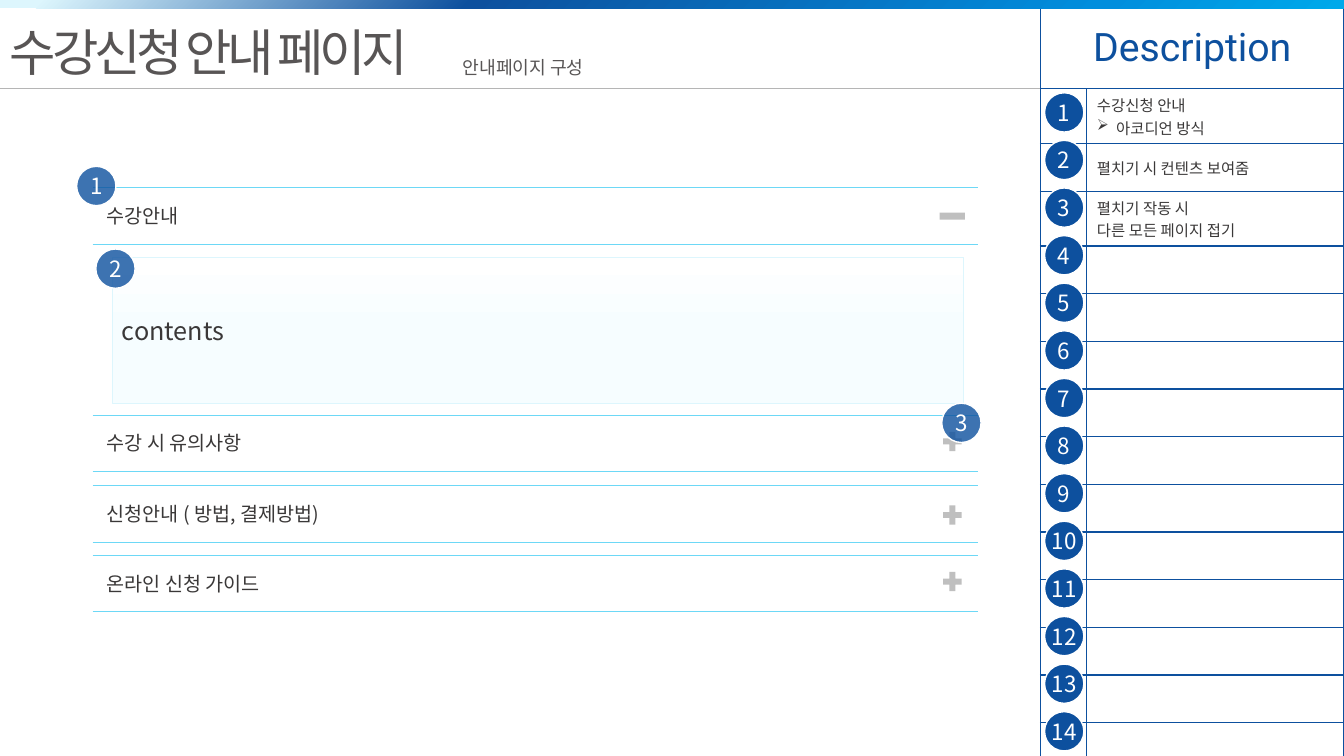
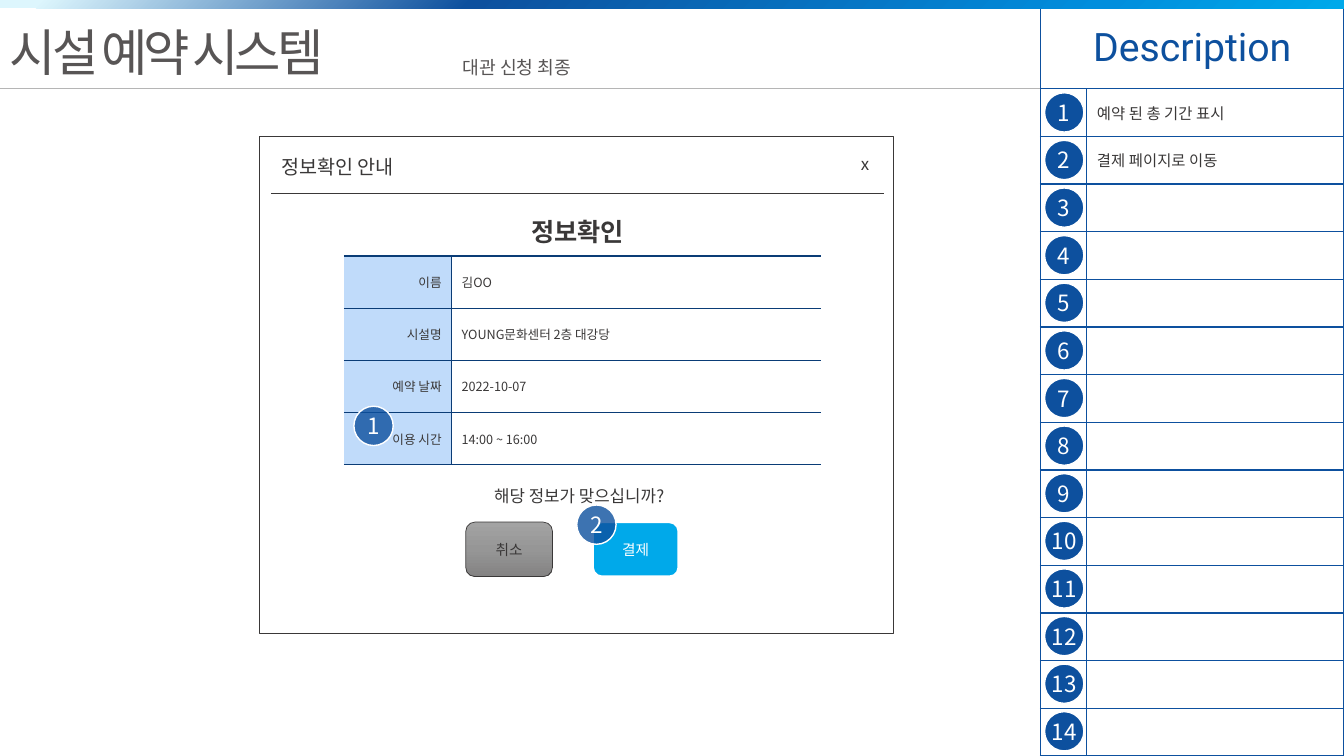
from lxml import etree
from pptx import Presentation, util as u
from pptx.dml.color import RGBColor
from pptx.enum import shapes, text
from pptx.oxml.ns import qn

COLORS = {
    "navy": "0D509E", "deep": "0A3C76", "sky": "00A9EA", "cyan": "6DD8F6",
    "ice": "DDF6FD", "label": "C0DBFA", "ink": "3A3838", "title": "585555",
    "rule": "B5B5B5", "icon": "BFBFBF", "white": "FFFFFF",
}
BAND = (45, [(3, COLORS["ice"]), (35, COLORS["navy"]), (82, "018EDD"), (100, COLORS["sky"])])
PANEL = (90, [(0, COLORS["white"]), (50, "F6FDFF"), (100, "F5FDFF")])
GREY_BUTTON = (90, [(0, "A3A3A3"), (50, "969696"), (100, "848383")])
KOREAN = "Noto Sans CJK KR"
NO_STYLE = "{2D5ABB26-0587-4C30-8999-92F81FD0307C}"
SHAPE = shapes.MSO_SHAPE
LEFT, CENTER, RIGHT = text.PP_ALIGN.LEFT, text.PP_ALIGN.CENTER, text.PP_ALIGN.RIGHT


def draw(page, kind, at, fill=None, line=None, weight=0.5):
    """Add a shape, or a line when kind is None; fill is a colour name or (angle, stops)."""
    left, top, width, height = map(u.Inches, at)
    if kind is None:
        shape = page.shapes.add_connector(
            shapes.MSO_CONNECTOR.STRAIGHT, left, top, left + width, top + height)
    else:
        shape = page.shapes.add_shape(kind, left, top, width, height)
        shape.shadow.inherit = False
        if isinstance(fill, str):
            shape.fill.solid()
            shape.fill.fore_color.rgb = RGBColor.from_string(COLORS[fill])
        else:
            angle, stops = fill
            shape.fill.gradient()
            shape.fill.gradient_angle = 360 - angle
            stop_list = shape._element.spPr.find(".//" + qn("a:gsLst"))
            for old in list(stop_list):
                stop_list.remove(old)
            for position, color in stops:
                stop = etree.SubElement(stop_list, qn("a:gs"), pos=str(position * 1000))
                etree.SubElement(stop, qn("a:srgbClr"), val=color)
    if line:
        shape.line.color.rgb = RGBColor.from_string(COLORS[line])
        shape.line.width = u.Pt(weight)
    else:
        shape.line.fill.background()
    if kind is None:
        etree.SubElement(shape._element.spPr, qn("a:effectLst"))
    return shape


def write(frame, lines, size, color="ink", align=LEFT, font=KOREAN, bold=False, spacing=0):
    """Fill a frame with one paragraph a line; a leading ➢ becomes a bullet."""
    frame.word_wrap = True
    for index, line in enumerate(lines.split("\n")):
        para = frame.add_paragraph() if index else frame.paragraphs[0]
        para.alignment = align
        if line.startswith("➢"):
            props = para._p.get_or_add_pPr()
            props.set("marL", str(u.Inches(0.19)))
            props.set("indent", str(-u.Inches(0.19)))
            etree.SubElement(props, qn("a:buChar"), char="➢")
        span = para.add_run()
        span.text = line.lstrip("➢ ")
        span.font.size = u.Pt(size)
        span.font.bold = bold
        span.font.color.rgb = RGBColor.from_string(COLORS[color])
        span.font.name = font
        props = span._r.get_or_add_rPr()
        etree.SubElement(props, qn("a:ea"), typeface=font)
        if spacing:
            props.set("spc", str(spacing * 100))


deck = Presentation()
deck.slide_width, deck.slide_height = u.Inches(13.33), u.Inches(7.5)

# Shared frame: description rail, title, subtitle and top band
frames = [
    ("수강신청 안내 페이지", "안내페이지 구성",
     ["수강신청 안내\n➢ 아코디언 방식", "펼치기 시 컨텐츠 보여줌",
      "펼치기 작동 시\n다른 모든 페이지 접기"]),
    ("시설 예약 시스템", "대관 신청 최종", ["예약 된 총 기간 표시", "결제 페이지로 이동"]),
]
STEPS = 14
pages = []
grids = []  # table, border colour, inner width, side width, label fill
for title, subtitle, notes in frames:
    page = deck.slides.add_slide(deck.slide_layouts[6])
    pages.append(page)
    rail = page.shapes.add_table(
        STEPS + 1, 2, *map(u.Inches, (10.32, 0.08, 3.01, 7.42))).table
    rail.columns[0].width, rail.columns[1].width = u.Inches(0.46), u.Inches(2.55)
    for index, row in enumerate(rail.rows):
        row.height = u.Inches((7.42 - 0.8) / STEPS if index else 0.8)
    rail.cell(0, 0).merge(rail.cell(0, 1))
    write(rail.cell(0, 0).text_frame, "Description", 28, "navy", CENTER, "Roboto")
    for index, note in enumerate(notes, 1):
        write(rail.cell(index, 1).text_frame, note, 11)
    grids.append((rail, "navy", 1, 1, None))

    draw(page, None, (0, 0.88, 10.32, 0), line="rule", weight=1)
    box = page.shapes.add_textbox(*map(u.Inches, (0, 0.16, 4.64, 0.71)))
    write(box.text_frame, title, 36, "title", spacing=-3)
    draw(page, SHAPE.RECTANGLE, (0, 0, 13.33, 0.08), BAND)
    box = page.shapes.add_textbox(*map(u.Inches, (4.49, 0.51, 1.52, 0.32)))
    write(box.text_frame, subtitle, 13, "title")

guide, booking = pages

# Accordion
sections = [
    ("수강안내", 1.86, SHAPE.RECTANGLE, 2.11, 0.07),
    ("수강 시 유의사항", 4.12, SHAPE.MATH_PLUS, 4.25, 0.26),
    ("신청안내 ( 방법, 결제방법)", 4.82, SHAPE.MATH_PLUS, 4.98, 0.26),
    ("온라인 신청 가이드", 5.51, SHAPE.MATH_PLUS, 5.64, 0.26),
]
for heading, top, icon, icon_top, icon_height in sections:
    for edge in (top, top + 0.56):
        draw(guide, None, (0.92, edge, 8.78, 0), line="cyan")
    box = guide.shapes.add_textbox(*map(u.Inches, (0.96, top + 0.11, 4.63, 0.34)))
    write(box.text_frame, heading, 14)
    draw(guide, icon, (9.32, icon_top, 0.25, icon_height), "icon")
panel = draw(guide, SHAPE.RECTANGLE, (1.11, 2.55, 8.45, 1.45), PANEL, "ice")
write(panel.text_frame, "contents", 18)

# Confirmation dialog
draw(booking, SHAPE.RECTANGLE, (2.57, 1.35, 6.29, 4.93), "white", "ink")
draw(booking, None, (2.69, 1.92, 6.08, 0), line="ink")
buttons = [
    ("결제", (5.88, 5.18, 0.85, 0.54), "sky", "white", 1.5, "white"),
    ("취소", (4.62, 5.18, 0.86, 0.54), GREY_BUTTON, "ink", 0.5, "ink"),
]
for caption, at, fill, line, weight, color in buttons:
    button = draw(booking, SHAPE.ROUNDED_RECTANGLE, at, fill, line, weight)
    write(button.text_frame, caption, 10.5, color, CENTER)
dialog_texts = [
    ("정보확인 안내", (2.69, 1.49, 1.75, 0.34), 14, LEFT, False),
    ("x", (8.44, 1.48, 0.34, 0.3), 12, LEFT, False),
    ("해당 정보가 맞으십니까?", (4.23, 4.77, 3.03, 0.3), 12, CENTER, False),
    ("정보확인", (5.17, 2.1, 1.21, 0.4), 18, LEFT, True),
]
for words, at, size, align, bold in dialog_texts:
    box = booking.shapes.add_textbox(*map(u.Inches, at))
    write(box.text_frame, words, size, align=align, bold=bold)
details = [
    ("이름", "김OO"),
    ("시설명", "YOUNG문화센터 2층 대강당"),
    ("예약 날짜", "2022-10-07"),
    ("이용 시간", "14:00 ~ 16:00"),
]
summary = booking.shapes.add_table(
    len(details), 2, *map(u.Inches, (3.41, 2.54, 4.73, 2.07))).table
summary.columns[0].width, summary.columns[1].width = u.Inches(1.07), u.Inches(3.66)
for index, (label, value) in enumerate(details):
    write(summary.cell(index, 0).text_frame, label, 9, align=RIGHT)
    write(summary.cell(index, 1).text_frame, value, 9)
grids.append((summary, "deep", 0.5, 0, "label"))

# Table borders and fills; the top and bottom edges are always 1 pt
for table, color, inner, side, label_fill in grids:
    table._tbl.tblPr.find(qn("a:tableStyleId")).text = NO_STYLE
    table.first_row = table.horz_banding = False
    last = len(table.rows) - 1
    for r in range(last + 1):
        for c in range(2):
            cell = table.cell(r, c)
            cell.vertical_anchor = text.MSO_ANCHOR.MIDDLE
            props = cell._tc.get_or_add_tcPr()
            edges = {
                "a:lnL": inner if c else side,
                "a:lnR": side if c else inner,
                "a:lnT": inner if r else 1,
                "a:lnB": inner if r < last else 1,
            }
            for tag, width in edges.items():
                if width:
                    edge = etree.SubElement(props, qn(tag), w=str(u.Pt(width)))
                    paint = etree.SubElement(edge, qn("a:solidFill"))
                    etree.SubElement(paint, qn("a:srgbClr"), val=COLORS[color])
            if label_fill and c == 0:
                cell.fill.solid()
                cell.fill.fore_color.rgb = RGBColor.from_string(COLORS[label_fill])
            else:
                cell.fill.background()

# Numbered badges: solid on the rail, translucent on the content
rail_badges = [(n + 1, 10.36, 0.92 + n * (7.06 - 0.92) / (STEPS - 1), 100) for n in range(STEPS)]
callouts = [
    (guide, [(1, 0.76, 1.65, 80), (2, 0.95, 2.47, 80), (3, 9.34, 4, 80)]),
    (booking, [(1, 3.51, 4.03, 80), (2, 5.72, 5.01, 80)]),
]
for page, marks in callouts:
    for number, left, top, opacity in rail_badges + marks:
        badge = draw(page, SHAPE.OVAL, (left, top, 0.39, 0.39), "navy", "white", 1)
        if opacity < 100:
            paint = badge._element.spPr.find(qn("a:solidFill")).find(qn("a:srgbClr"))
            etree.SubElement(paint, qn("a:alpha"), val=str(opacity * 1000))
        frame = badge.text_frame
        frame.margin_left = frame.margin_right = frame.margin_top = frame.margin_bottom = 0
        write(frame, str(number), 16, "white", CENTER)

deck.save("out.pptx")
